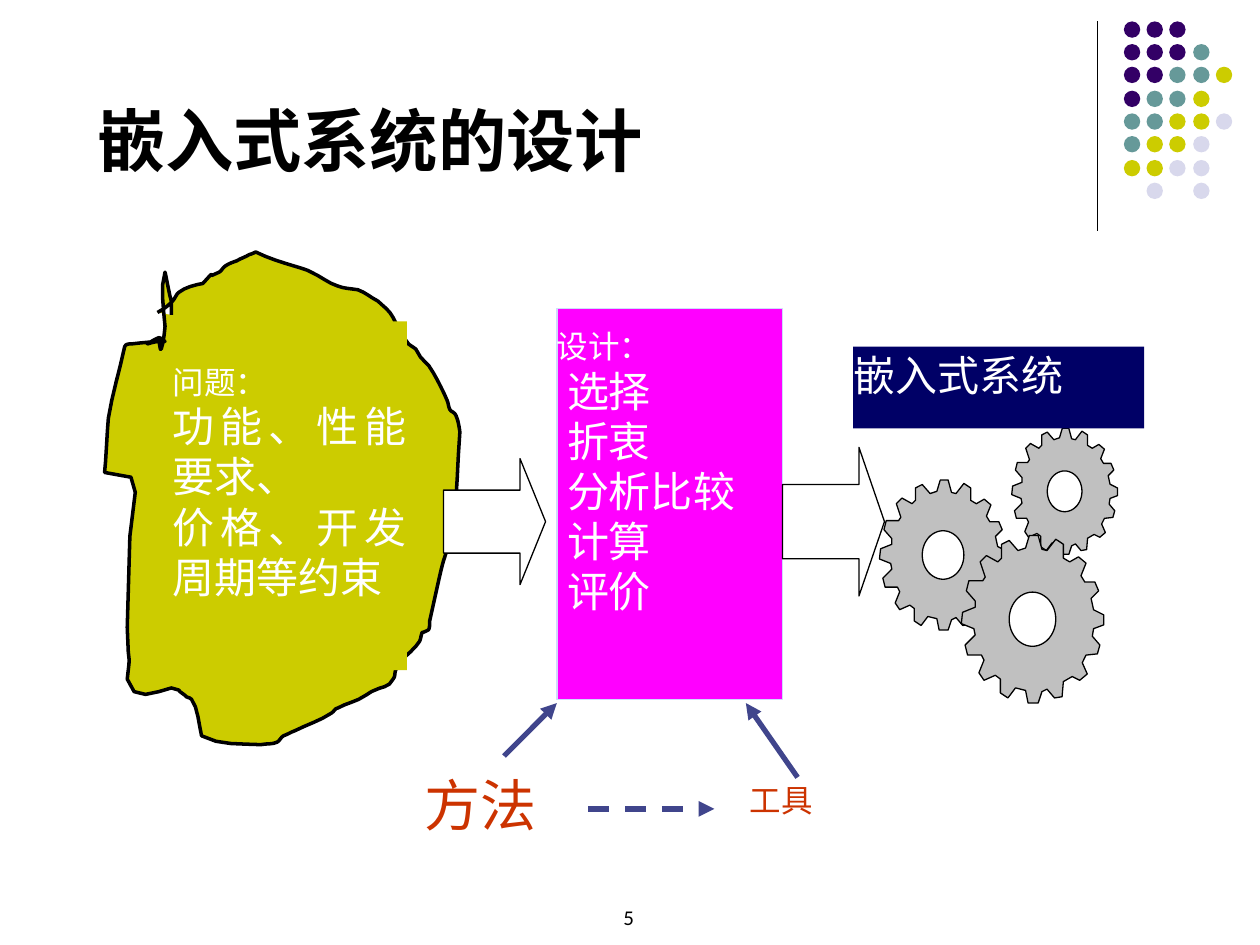
import itertools
import math
from dataclasses import dataclass

import pptx
import pptx.dml.color
import pptx.enum.dml
import pptx.enum.shapes
import pptx.enum.text
import pptx.oxml
import pptx.oxml.ns
import pptx.util

PX = 9144  # EMU per px, 100 px to the inch
SHAPE = pptx.enum.shapes.MSO_SHAPE
ALIGN = pptx.enum.text.PP_ALIGN
ANCHOR = pptx.enum.text.MSO_ANCHOR
SANS_SC, SANS_JP = "Noto Sans CJK SC", "Noto Sans CJK JP"
BLACK, WHITE, OLIVE, RUST, INDIGO = "000000", "FFFFFF", "CCCC00", "CC3300", "40458C"

DOT_ROWS = ("PPP", "PPPT", "PPTTY", "PTTY", "TTYYL", "TYYL", "YYLL", ".L.L")
DOT_COLORS = {"P": "330066", "T": "669999", "Y": OLIVE, "L": "D8D8EC"}

# Start point, then two control points and an end point for each curve.
BLOB_RIGHT = """125,248
130,245 131,245 137,239 139,237 140,233 142,232 147,228 155,226 161,225
175,210 160,224 174,216 176,215 177,212 179,211 182,209 185,208 188,207
191,205 195,204 198,202 199,202 203,200 203,200 213,205 223,208 233,211
236,212 244,214 247,216 254,219 261,225 268,227 273,229 278,229 284,230
290,232 294,236 300,239 304,243 309,246 312,252 317,262 322,274 330,277
335,288 339,286 344,296 348,303 352,311 355,318 356,321 356,323 357,325
358,327 361,327 362,330 364,334 365,343 365,343 363,367 363,392 360,416
359,425 356,431 354,439 351,447 349,457 347,466 345,475 343,484 341,493"""
BLOB_LEFT = """341,496 341,499 340,500 338,501 336,502 335,502 334,505 334,507 333,509
331,513 321,522 317,525 316,527 315,530 314,532 313,534 314,537 312,539
309,546 302,545 297,548 294,549 292,551 290,552 283,557 275,558 268,562
266,562 265,565 263,566 254,572 244,575 234,580 231,581 228,583 225,584
223,585 222,588 220,589 216,591 212,590 207,591 191,590 175,592 160,584
158,576 157,561 152,555 150,553 148,554 147,552 136,545 149,550 136,546
124,549 105,559 101,539 104,512 102,538 101,498 98,370 127,381 83,375
84,368 85,342 86,332 89,313 95,294 99,275 100,273 102,273 104,273
113,272 122,271 131,271 129,270 128,268 126,268 123,269 117,273 117,273
117,273 123,271 126,271 127,273 127,279 128,277 130,272 131,259 131,259
130,247 127,227 131,216 131,215 135,237 136,239 136,242 136,246 136,250"""

GEAR_WIDTH, GEAR_HEIGHT = 113, 133
GEAR_TEETH = """51,10 54,0 61,0 64,11 68,12 75,3 81,7 81,18 86,21 93,17 99,22 95,32
98,37 106,37 109,44 103,50 105,59 113,63 113,71 105,74 104,80 110,87 108,94 99,95
96,101 100,110 94,115 88,112 81,116 80,128 74,129 68,122 64,124 61,133 53,133 51,123
43,121 37,129 31,125 31,114 27,111 18,115 14,109 18,99 16,95 5,95 3,87 11,79
10,74 0,70 1,61 11,57 11,52 4,44 6,36 17,36 19,33 15,21 20,16 29,21
32,18 32,7 38,4 45,12"""


@dataclass(frozen=True)
class Box:
    left: int
    top: int
    width: int
    height: int

    def emu(self) -> tuple[int, ...]:
        return tuple(v * PX for v in (self.left, self.top, self.width, self.height))


@dataclass(frozen=True)
class Arrow:
    start: tuple[int, int]
    end: tuple[int, int]
    dashed: bool = False


GEARS = (Box(803, 340, 84, 100), Box(698, 381, 101, 119), Box(763, 425, 113, 133))
BLOCK_ARROWS = (Box(352, 364, 81, 100), Box(621, 355, 81, 118))
ARROWS = (Arrow((400, 600), (442, 558)), Arrow((467, 642), (567, 642), True),
          Arrow((633, 617), (592, 558)))


def rgb(color: str) -> pptx.dml.color.RGBColor:
    return pptx.dml.color.RGBColor.from_string(color)


def points(listing: str) -> list[tuple[int, int]]:
    return [tuple(int(v) for v in pair.split(",")) for pair in listing.split()]


def append_xml(parent, tag: str) -> None:
    """Append a DrawingML element given as its name and attributes."""
    parent.append(pptx.oxml.parse_xml(f"<a:{tag} {pptx.oxml.ns.nsdecls('a')}/>"))


def paint(shape, fill: str, line: str | None = None, width: float = 0.75):
    shape.shadow.inherit = False
    shape.fill.solid()
    shape.fill.fore_color.rgb = rgb(fill)
    if line:
        shape.line.color.rgb = rgb(line)
        shape.line.width = pptx.util.Pt(width)
    else:
        shape.line.fill.background()
    return shape


def add_block(slide, kind, box: Box, fill: str, line: str | None = None):
    return paint(slide.shapes.add_shape(kind, *box.emu()), fill, line)


def add_line(slide, start: tuple[int, int], end: tuple[int, int], color: str, width: float):
    line = slide.shapes.add_connector(
        pptx.enum.shapes.MSO_CONNECTOR.STRAIGHT, *(v * PX for v in start + end))
    line.line.color.rgb = rgb(color)
    line.line.width = pptx.util.Pt(width)
    append_xml(line._element.spPr, "effectLst")
    return line


def add_arrow(slide, arrow: Arrow) -> None:
    line = add_line(slide, arrow.start, arrow.end, INDIGO, 3)
    if arrow.dashed:
        line.line.dash_style = pptx.enum.dml.MSO_LINE.DASH
    append_xml(line.line._get_or_add_ln(), 'tailEnd type="triangle"')


def add_frame(slide, box: Box, wrap: bool = True, margin: int = 0):
    frame = slide.shapes.add_textbox(*box.emu()).text_frame
    frame.word_wrap = wrap
    frame.vertical_anchor = ANCHOR.MIDDLE
    frame.margin_left = frame.margin_right = margin * PX
    frame.margin_top = frame.margin_bottom = margin * PX
    return frame


def write(frame, text: str, *, size: int, font: str, color: str, align=ALIGN.LEFT,
          bold: bool = False, spacing: float | None = None, indent: int = 0,
          asian: str | None = None) -> None:
    """Write a paragraph, using the frame's first one while it is empty."""
    paragraph = frame.add_paragraph() if frame.text else frame.paragraphs[0]
    paragraph.alignment = align
    if spacing:
        paragraph.line_spacing = pptx.util.Pt(spacing)
    if indent:
        paragraph._p.get_or_add_pPr().set("marL", str(indent * PX))
    run = paragraph.add_run()
    run.text = text
    run.font.size = pptx.util.Pt(size)
    run.font.bold = bold
    run.font.name = font
    run.font.color.rgb = rgb(color)
    append_xml(run._r.get_or_add_rPr(), f'ea typeface="{asian or font}"')


def add_blob(slide, steps: int = 4) -> None:
    start, *rest = points(BLOB_RIGHT) + points(BLOB_LEFT)
    outline = [start]
    for first, second, end in zip(*[iter(rest)] * 3):
        corners = (outline[-1], first, second, end)
        for t in (step / steps for step in range(1, steps + 1)):
            weights = ((1 - t) ** 3, 3 * t * (1 - t) ** 2, 3 * t * t * (1 - t), t ** 3)
            outline.append(tuple(sum(w * c[axis] for w, c in zip(weights, corners))
                                 for axis in (0, 1)))
    outline = [(x * PX, y * PX) for x, y in outline]
    builder = slide.shapes.build_freeform(*outline[0])
    builder.add_line_segments(outline[1:], close=False)
    paint(builder.convert_to_shape(), OLIVE, BLACK, 2)


def add_gear(slide, box: Box) -> None:
    def place(x: float, y: float) -> tuple[float, float]:
        return ((box.left + x * box.width / GEAR_WIDTH) * PX,
                (box.top + y * box.height / GEAR_HEIGHT) * PX)

    teeth = [place(*point) for point in points(GEAR_TEETH)]
    angles = (math.tau * step / 48 for step in range(48))
    hole = [place(56.5 + 18.5 * math.cos(a), 66.5 - 21.5 * math.sin(a)) for a in angles]
    builder = slide.shapes.build_freeform(*teeth[0])
    builder.add_line_segments(teeth[1:], close=True)
    builder.move_to(*hole[0])
    builder.add_line_segments(hole[1:], close=True)
    paint(builder.convert_to_shape(), "C0C0C0", BLACK)


def add_title(slide, text: str) -> None:
    title = slide.shapes.title
    title.left, title.top, title.width, title.height = Box(67, 0, 850, 143).emu()
    title.text_frame.vertical_anchor = ANCHOR.BOTTOM
    title.text_frame.margin_bottom = 0
    write(title.text_frame, text, size=39, font="Times New Roman", color=BLACK,
          bold=True, asian=SANS_SC)


def main() -> None:
    deck = pptx.Presentation()
    deck.slide_width, deck.slide_height = 1000 * PX, 750 * PX
    slide = deck.slides.add_slide(deck.slide_layouts[5])
    add_title(slide, "嵌入式系统的设计")

    add_line(slide, (871, 17), (871, 183), BLACK, 0.75)
    for row, col in itertools.product(range(len(DOT_ROWS)), range(5)):
        key = DOT_ROWS[row][col:col + 1]
        if key in DOT_COLORS:
            dot = Box(892 + col * 55 // 3, 17 + row * 55 // 3, 13, 13)
            add_block(slide, SHAPE.OVAL, dot, DOT_COLORS[key])

    add_blob(slide)
    add_block(slide, SHAPE.RECTANGLE, Box(137, 255, 186, 277), OLIVE)
    body = dict(color=WHITE, align=ALIGN.JUSTIFY, spacing=28.7)
    problem = add_frame(slide, Box(137, 275, 186, 206))
    write(problem, "问题：", size=18, font=SANS_SC, **body)
    for constraint in ("功能、性能要求、", "价格、开发周期等约束"):
        write(problem, constraint, size=24, font=SANS_SC, **body)

    add_block(slide, SHAPE.RECTANGLE, Box(442, 245, 179, 310), "FF00FF", "CFDBFD")
    design = add_frame(slide, Box(442, 247, 179, 245))
    write(design, "设计：", size=18, font=SANS_JP, **body)
    for activity in ("选择", "折衷", "分析比较", "计算", "评价"):
        write(design, activity, size=24, font=SANS_SC, indent=8, **body)

    for gear in GEARS:
        add_gear(slide, gear)
    add_block(slide, SHAPE.RECTANGLE, Box(677, 275, 231, 65), "000066")
    write(add_frame(slide, Box(677, 276, 231, 43)), "嵌入式系统", size=24, font=SANS_JP,
          color=WHITE, align=ALIGN.JUSTIFY)

    for box in BLOCK_ARROWS:
        block_arrow = add_block(slide, SHAPE.RIGHT_ARROW, box, WHITE, BLACK)
        block_arrow.adjustments[0], block_arrow.adjustments[1] = 0.5, 0.25
    for label, box, size in (("方法", Box(337, 610, 99, 56), 32),
                             ("工具", Box(595, 610, 88, 49), 18)):
        write(add_frame(slide, box, wrap=False), label, size=size, font=SANS_JP, color=RUST)
    for arrow in ARROWS:
        add_arrow(slide, arrow)
    write(add_frame(slide, Box(486, 714, 26, 28), wrap=False, margin=5), "5", size=12,
          font="Calibri", color=BLACK, align=ALIGN.CENTER)
    deck.save("out.pptx")


if __name__ == "__main__":
    main()
